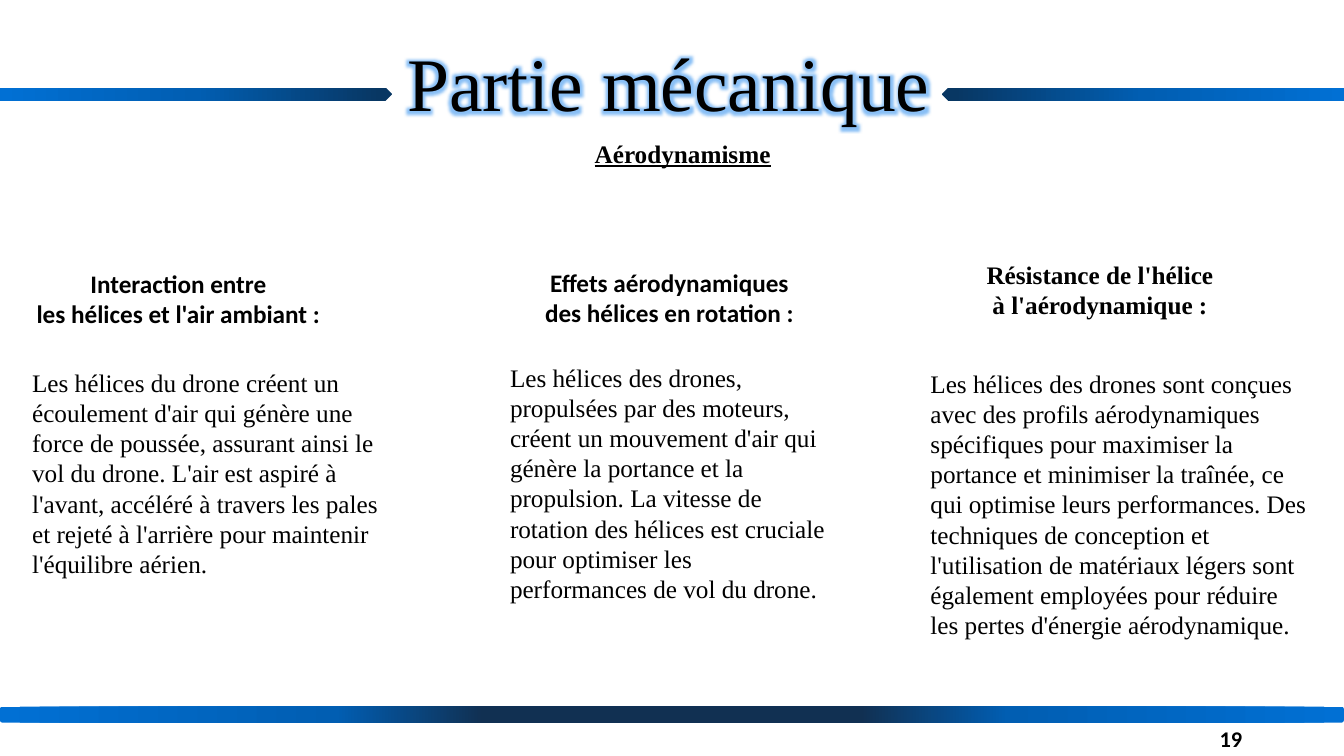
from dataclasses import dataclass

from lxml import etree
from pptx import Presentation
from pptx import util as u
from pptx.dml.color import RGBColor
from pptx.enum import shapes, text
from pptx.oxml import parse_xml

NS = 'xmlns:a="http://schemas.openxmlformats.org/drawingml/2006/main"'
PX = 9144


@dataclass(frozen=True)
class Theme:
    serif: str = "Times New Roman"
    sans: str = "Calibri"
    ink: str = "000000"
    glow: str = "3C96F0"
    navy: str = "083763"
    deep: str = "113052"
    mid: str = "015EB2"
    bright: str = "0170D4"
    title: int = 54
    body: int = 18
    page: int = 16


class Deck:
    def __init__(self, theme):
        self.theme = theme
        self.prs = Presentation()
        self.prs.slide_width = 1333 * PX
        self.prs.slide_height = 750 * PX
        self.slide = self.prs.slides.add_slide(self.prs.slide_layouts[6])

    def text(self, box, lines, align="LEFT", anchor="TOP", **style):
        frame = self.slide.shapes.add_textbox(*(n * PX for n in box)).text_frame
        frame.word_wrap = True
        frame.vertical_anchor = getattr(text.MSO_ANCHOR, anchor)
        form = {"name": self.theme.serif, "size": self.theme.body, **style}
        form["size"] = u.Pt(form["size"])
        for i, line in enumerate(lines):
            para = frame.add_paragraph() if i else frame.paragraphs[0]
            para.alignment = getattr(text.PP_ALIGN, align)
            run = para.add_run()
            run.text = line
            run.font.color.rgb = RGBColor.from_string(self.theme.ink)
            for key, val in form.items():
                setattr(run.font, key, val)
        return frame

    def glow(self, frame, rad, alpha):
        fill = frame.paragraphs[0].runs[0].font.fill
        props = frame.paragraphs[0].runs[0]._r.get_or_add_rPr()
        fill = props.find("{*}solidFill")
        fill.addnext(parse_xml(
            f'<a:effectLst {NS}><a:glow rad="{u.Pt(rad)}">'
            f'<a:srgbClr val="{self.theme.glow}"><a:alpha val="{alpha}000"/>'
            '</a:srgbClr></a:glow></a:effectLst>'))

    def bar(self, kind, box, stops, flow, turn=0):
        bar = self.slide.shapes.add_shape(kind, *(n * PX for n in box))
        bar.rotation = turn
        bar.shadow.inherit = False
        bar.line.fill.background()
        grad = parse_xml(f'<a:gradFill {NS} rotWithShape="1"><a:gsLst/>{flow}</a:gradFill>')
        for pos, tone in stops:
            stop = etree.SubElement(grad[0], grad[0].tag.replace("gsLst", "gs"), pos=f"{pos}000")
            etree.SubElement(stop, grad[0].tag.replace("gsLst", "srgbClr"), val=tone)
        bar._element.spPr.find("{*}prstGeom").addnext(grad)


def main():
    th = Theme()
    deck = Deck(th)

    title = deck.text((394, 31, 832, 101), ["Partie mécanique"], size=th.title)
    deck.glow(title, 8, 60)
    deck.text((580, 132, 400, 40), ["Aérodynamisme"], bold=True, underline=True)
    deck.text((942, 713, 300, 40), ["19"], "RIGHT", "MIDDLE",
              name=th.sans, size=th.page, bold=True)

    topics = [
        ((7, 261, 340, 71), th.sans,
         ["Interaction entre", "les hélices et l'air ambiant :"],
         (22, 359, 372, 222),
         "Les hélices du drone créent un écoulement d'air qui génère une force de poussée, "
         "assurant ainsi le vol du drone. L'air est aspiré à l'avant, accéléré à travers les "
         "pales et rejeté à l'arrière pour maintenir l'équilibre aérien."),
        ((494, 260, 340, 71), th.sans,
         ["Effets aérodynamiques", "des hélices en rotation :"],
         (496, 354, 342, 252),
         "Les hélices des drones, propulsées par des moteurs, créent un mouvement d'air qui "
         "génère la portance et la propulsion. La vitesse de rotation des hélices est cruciale "
         "pour optimiser les performances de vol du drone."),
        ((921, 252, 340, 71), th.serif,
         ["Résistance de l'hélice", "à l'aérodynamique :"],
         (913, 360, 398, 283),
         "Les hélices des drones sont conçues avec des profils aérodynamiques spécifiques pour "
         "maximiser la portance et minimiser la traînée, ce qui optimise leurs performances. "
         "Des techniques de conception et l'utilisation de matériaux légers sont également "
         "employées pour réduire les pertes d'énergie aérodynamique."),
    ]
    for top, face, head, box, body in topics:
        deck.text(top, head, "CENTER", name=face, bold=True)
        deck.text(box, [body])

    kind = shapes.MSO_SHAPE
    fade = [(50, th.mid), (100, th.bright)]
    line = '<a:lin ang="10800000" scaled="0"/>'
    for left, wide, turn in ((0, 389, 0), (934, 399, 180)):
        deck.bar(kind.PENTAGON, (left, 87, wide, 13), [(3, th.navy), *fade], line, turn)
    ring = ('<a:path path="circle"><a:fillToRect l="50000" t="50000" '
            'r="50000" b="50000"/></a:path>')
    deck.bar(kind.ROUNDED_RECTANGLE, (0, 701, 1333, 16), [(28, th.deep), *fade], ring)

    deck.prs.save("out.pptx")


if __name__ == "__main__":
    main()
